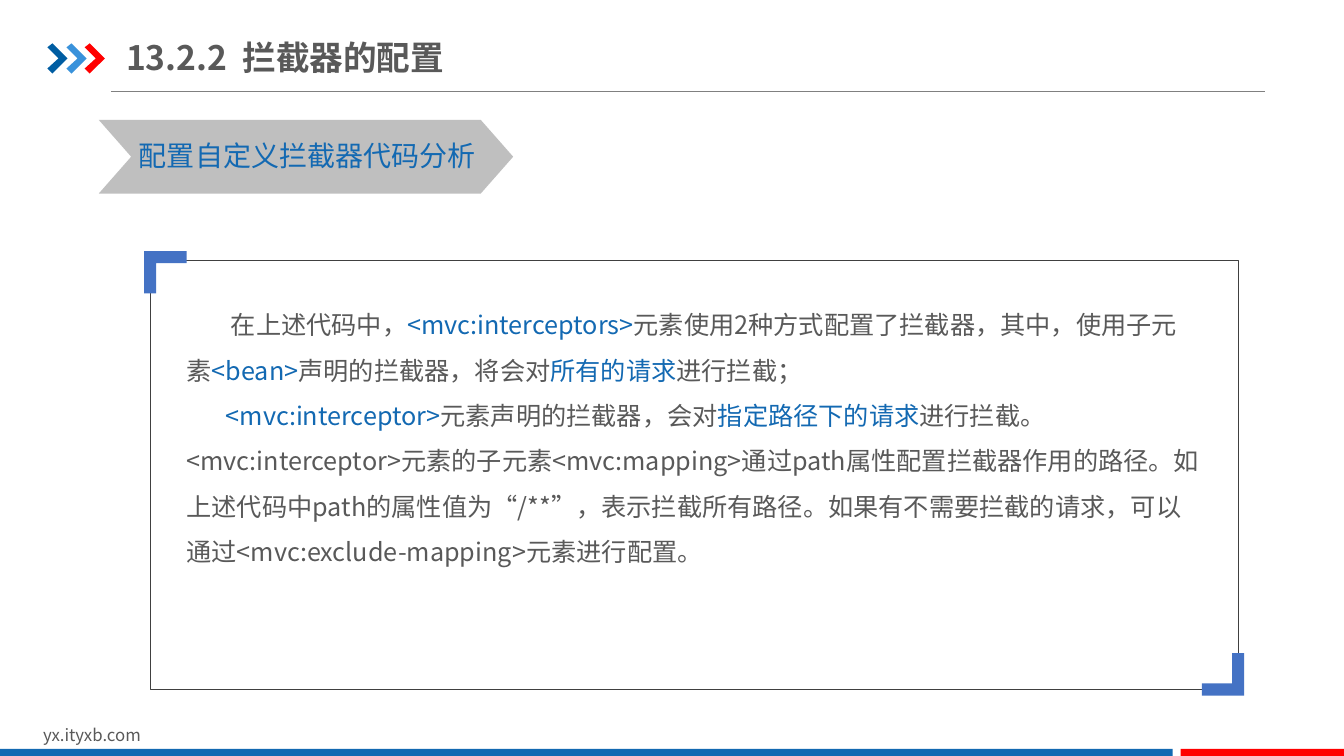
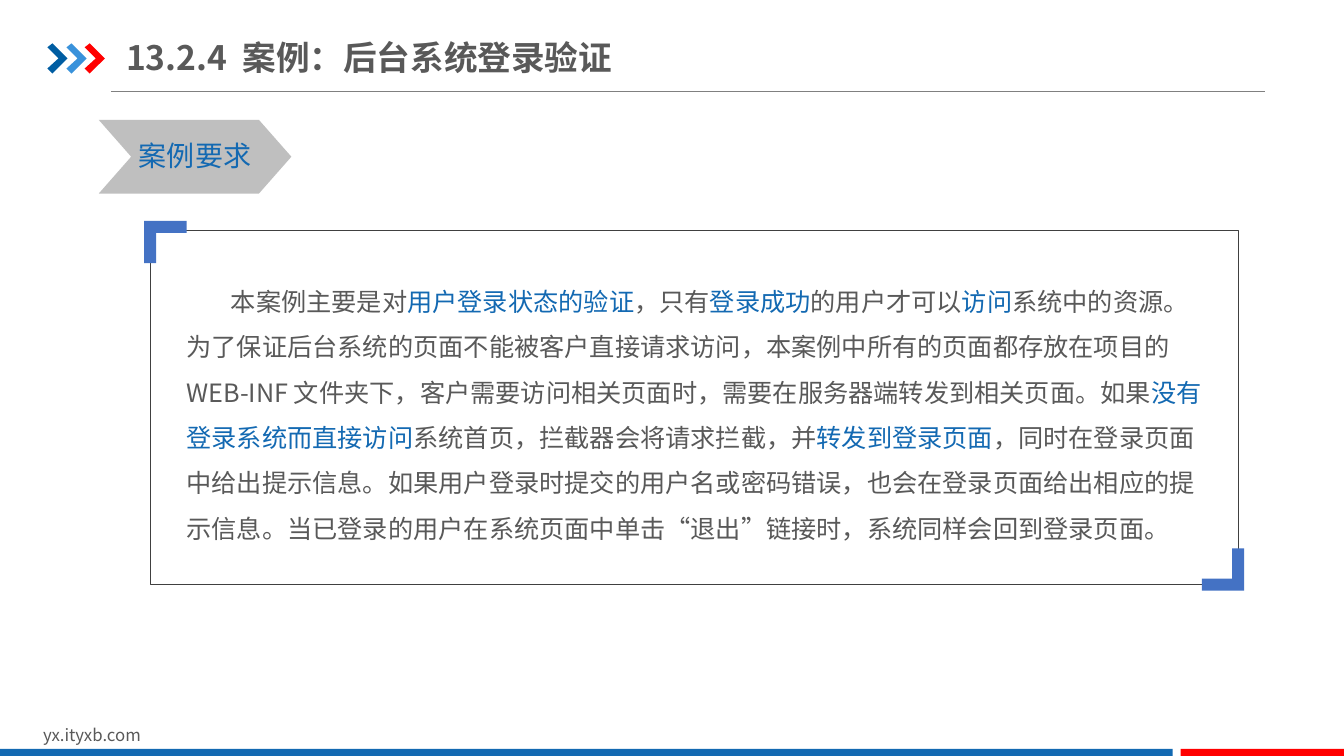
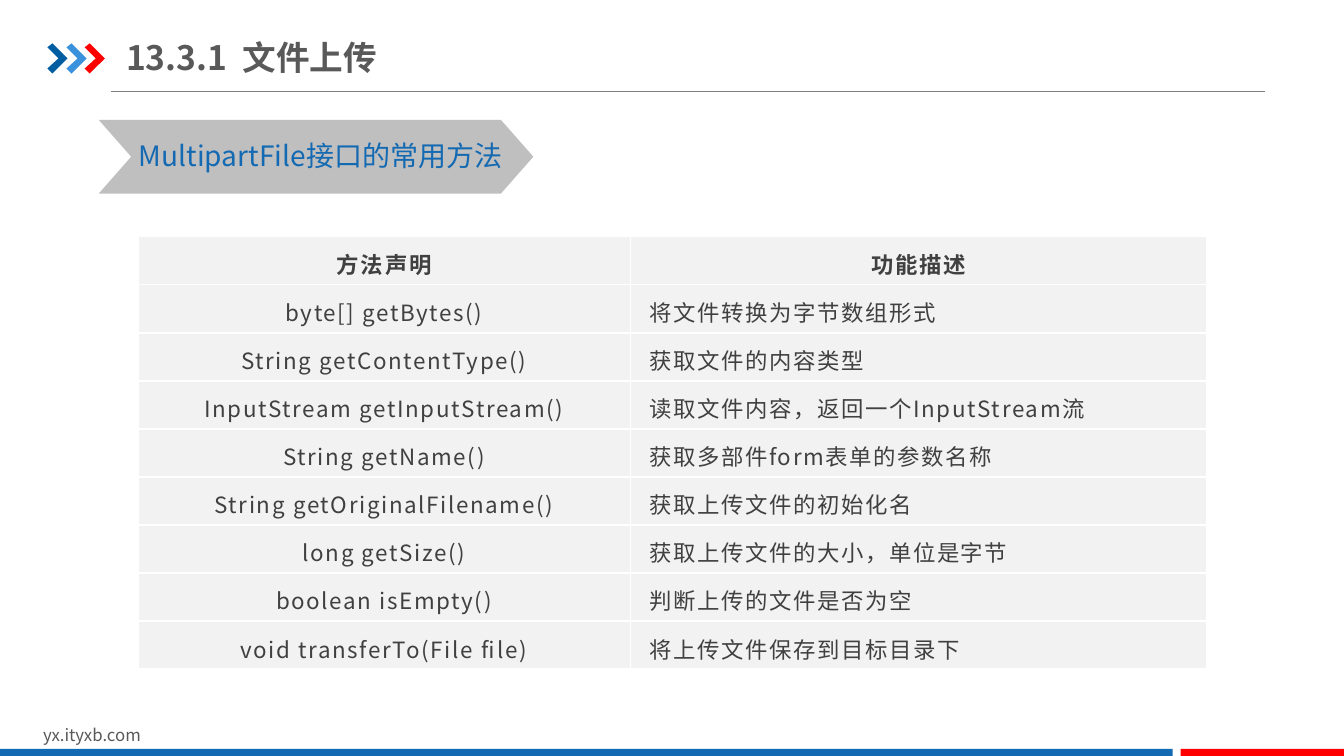
"""Three course slides on interceptors and file upload."""
import lxml.etree
import pptx
import pptx.dml.color
import pptx.enum.shapes
import pptx.enum.text
import pptx.oxml.ns
import pptx.util

RGB = pptx.dml.color.RGBColor
BLUE = RGB(0x13, 0x69, 0xB2)
NAVY = RGB(0x00, 0x5D, 0xA2)
SKY = RGB(0x39, 0x92, 0xDB)
RED = RGB(0xFF, 0x00, 0x00)
STEEL = RGB(0x44, 0x72, 0xC4)
TEXT = RGB(0x59, 0x59, 0x59)
DARK = RGB(0x40, 0x40, 0x40)
GRAY = RGB(0x80, 0x80, 0x80)
SILVER = RGB(0xBF, 0xBF, 0xBF)
PALE = RGB(0xF2, 0xF2, 0xF2)
FONT = "Noto Sans CJK SC"
PX = 9144

KIND = pptx.enum.shapes.MSO_SHAPE
ALIGN = pptx.enum.text.PP_ALIGN
ANCHOR = pptx.enum.text.MSO_ANCHOR
FIT = pptx.enum.text.MSO_AUTO_SIZE
Pt = pptx.util.Pt
qn = pptx.oxml.ns.qn
add = lxml.etree.SubElement


def write(frame, text, size, color=TEXT, bold=False, align=ALIGN.LEFT,
          lead=None, track=0, dents=None):
    """Fill a frame line by line; parts between bars turn blue."""
    for row, line in enumerate(text.split("\n")):
        para = frame.add_paragraph() if row else frame.paragraphs[0]
        if dents:
            props = para._p.get_or_add_pPr()
            props.set("marL", "0")
            props.set("indent", str(dents[row] * PX))
            add(props, qn("a:buNone"))
        para.alignment = align
        para.space_before = Pt(0)
        if lead:
            para.line_spacing = lead
        for spot, part in enumerate(line.split("|")):
            if not part:
                continue
            run = para.add_run()
            run.text = part
            run.font.size = Pt(size)
            run.font.bold = bold
            run.font.name = FONT
            run.font.color.rgb = BLUE if spot % 2 else color
            props = run._r.get_or_add_rPr()
            add(props, qn("a:ea"), typeface=FONT)
            if track:
                props.set("spc", str(track))


def paint(shape, fill=None, line=None):
    """Give a shape a flat fill or a thin outline."""
    shape.shadow.inherit = False
    if fill is None:
        shape.fill.background()
    else:
        shape.fill.solid()
        shape.fill.fore_color.rgb = fill
    if line is None:
        shape.line.fill.background()
    else:
        shape.line.color.rgb = line
        shape.line.width = Pt(0.25)


PAGES = [
    {"title": "13.2.2  拦截器的配置", "wide": 446,
     "label": "配置自定义拦截器代码分析", "span": 365, "tag": 411,
     "frame": (258, 426), "body": (287, 375), "dents": (44, 39, 0),
     "text": "在上述代码中，|<mvc:interceptors>|元素使用2种方式配置了拦截器，其中，使用子元素"
             "|<bean>|声明的拦截器，将会对|所有的请求|进行拦截；\n"
             "|<mvc:interceptor>|元素声明的拦截器，会对|指定路径下的请求|进行拦截。\n"
             "<mvc:interceptor>元素的子元素<mvc:mapping>通过path属性配置拦截器作用的路径。"
             "如上述代码中path的属性值为“/**”，表示拦截所有路径。如果有不需要拦截的请求，"
             "可以通过<mvc:exclude-mapping>元素进行配置。"},
    {"title": "13.2.4  案例：后台系统登录验证", "wide": 542,
     "label": "案例要求", "span": 141, "tag": 191,
     "frame": (228, 352), "body": (264, 279), "dents": (44,),
     "text": "本案例主要是对|用户登录状态的验证|，只有|登录成功|的用户才可以|访问|系统中的资源。"
             "为了保证后台系统的页面不能被客户直接请求访问，本案例中所有的页面都存放在项目的"
             "WEB-INF 文件夹下，客户需要访问相关页面时，需要在服务器端转发到相关页面。如果"
             "|没有登录系统而直接访问|系统首页，拦截器会将请求拦截，并|转发到登录页面|，"
             "同时在登录页面中给出提示信息。如果用户登录时提交的用户名或密码错误，"
             "也会在登录页面给出相应的提示信息。当已登录的用户在系统页面中单击“退出”链接时，"
             "系统同样会回到登录页面。"},
    {"title": "13.3.1  文件上传", "wide": 297,
     "label": "MultipartFile接口的常用方法", "span": 388, "tag": 431,
     "rows": [("方法声明", "功能描述"),
              ("byte[] getBytes()", "将文件转换为字节数组形式"),
              ("String getContentType()", "获取文件的内容类型"),
              ("InputStream getInputStream()", "读取文件内容，返回一个InputStream流"),
              ("String getName()", "获取多部件form表单的参数名称"),
              ("String getOriginalFilename()", "获取上传文件的初始化名"),
              ("long getSize()", "获取上传文件的大小，单位是字节"),
              ("boolean isEmpty()", "判断上传的文件是否为空"),
              ("void transferTo(File file)", "将上传文件保存到目标目录下")]},
]

deck = pptx.Presentation()
deck.slide_width = 1333 * PX
deck.slide_height = 750 * PX
slides = [deck.slides.add_slide(deck.slide_layouts[1 if "text" in page else 5])
          for page in PAGES]

shapes = slides[0].shapes
rule = shapes.add_connector(pptx.enum.shapes.MSO_CONNECTOR.STRAIGHT,
                            110 * PX, 91 * PX, 1255 * PX, 91 * PX)
rule.line.color.rgb = GRAY
rule.line.width = Pt(0.5)
add(rule.element.spPr, qn("a:effectLst"))
shared = [rule]
for left, color in ((47, NAVY), (66, SKY), (84, RED)):
    form = shapes.build_freeform(left, 47, scale=PX)
    form.add_line_segments([(left + 5, 43), (left + 20, 58), (left + 5, 73),
                            (left, 68), (left + 11, 58)])
    shared.append(form.convert_to_shape())
    paint(shared[-1], color)
site = shapes.add_textbox(33 * PX, 714 * PX, 318 * PX, 30 * PX)
site.text_frame.word_wrap = True
write(site.text_frame, "yx.ityxb.com", 12)
shared.append(site)
for left, wide, color in ((0, 1163, BLUE), (1171, 163, RED)):
    band = shapes.add_shape(KIND.RECTANGLE, left * PX, 743 * PX, wide * PX, 9 * PX)
    paint(band, color)
    shared.append(band)
for num, shape in enumerate(shared, 100):
    shape.element.xpath(".//p:cNvPr")[0].set("id", str(num))
    deck.slide_master.shapes.element.append(shape.element)

for slide, page in zip(slides, PAGES):
    shapes = slide.shapes
    title = shapes.title
    title.left, title.top = 125 * PX, 29 * PX
    title.width, title.height = page["wide"] * PX, 55 * PX
    frame = title.text_frame
    frame.auto_size = FIT.NONE
    frame.vertical_anchor = ANCHOR.MIDDLE
    frame.margin_left = frame.margin_right = 0
    frame.margin_top = frame.margin_bottom = 7 * PX
    write(frame, page["title"], 24, bold=True)

    tag = shapes.add_shape(KIND.CHEVRON, 98 * PX, 119 * PX, page["tag"] * PX, 73 * PX)
    tag.adjustments[0] = 0.44
    paint(tag, SILVER)
    label = shapes.add_textbox(128 * PX, 133 * PX, page["span"] * PX, 44 * PX)
    label.text_frame.word_wrap = False
    label.text_frame.auto_size = FIT.SHAPE_TO_FIT_TEXT
    write(label.text_frame, page["label"], 20, BLUE)

    if "text" in page:
        body = slide.placeholders[1]
        top, high = page["body"]
        body.left, body.top = 175 * PX, top * PX
        body.width, body.height = 1027 * PX, high * PX
        body.text_frame.auto_size = FIT.NONE
        write(body.text_frame, page["text"], 18, lead=1.5, dents=page["dents"])

        top, high = page["frame"]
        box = shapes.add_shape(KIND.RECTANGLE, 149 * PX, top * PX, 1079 * PX, high * PX)
        paint(box, line=DARK)
        for x, y, way in ((143, top - 9, 1), (1234, top + high + 6, -1)):
            long, thin = 42 * way, 12 * way
            form = shapes.build_freeform(x, y, scale=PX)
            form.add_line_segments([(x + long, y), (x + long, y + thin),
                                    (x + thin, y + thin), (x + thin, y + long),
                                    (x, y + long)])
            paint(form.convert_to_shape(), STEEL)
    else:
        rows = page["rows"]
        table = shapes.add_table(len(rows), 2, 137 * PX, 235 * PX,
                                 1060 * PX, 429 * PX).table
        for col, wide in zip(table.columns, (488, 572)):
            col.width = wide * PX
        for r, row in enumerate(rows):
            for c, text in enumerate(row):
                cell = table.cell(r, c)
                props = cell._tc.get_or_add_tcPr()
                for side in "LRTB":
                    edge = add(props, qn("a:ln" + side), w="12700")
                    add(add(edge, qn("a:solidFill")), qn("a:srgbClr"), val="FFFFFF")
                cell.fill.solid()
                cell.fill.fore_color.rgb = PALE
                cell.vertical_anchor = ANCHOR.MIDDLE
                cell.margin_left = cell.margin_right = 19 * PX
                cell.margin_top = cell.margin_bottom = 4 * PX
                write(cell.text_frame, text, 16, DARK, bold=r == 0, lead=1.2,
                      align=ALIGN.LEFT if r and c else ALIGN.CENTER,
                      track=120 if r else 130)

deck.save("out.pptx")
